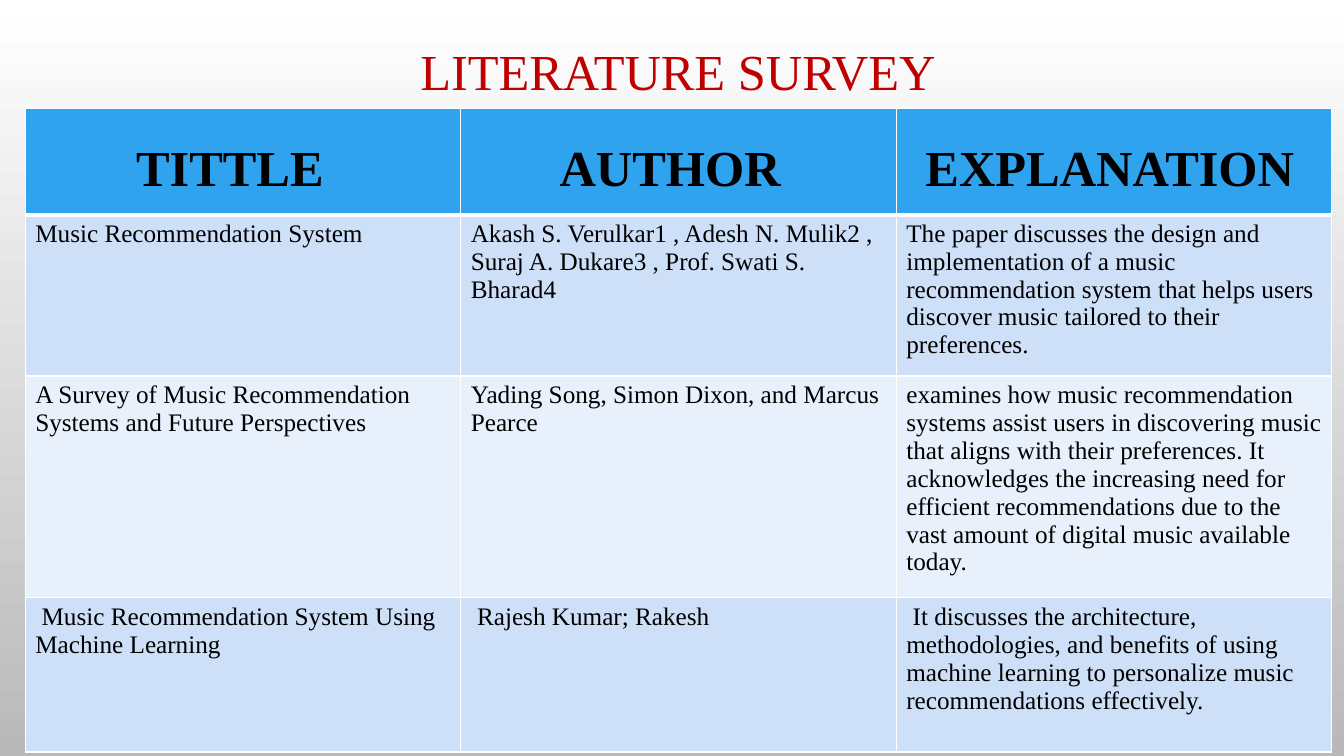
from dataclasses import dataclass

from lxml import etree
from pptx import Presentation
from pptx import util as u
from pptx.dml.color import RGBColor
from pptx.enum import text
from pptx.oxml import ns


@dataclass(frozen=True)
class Theme:
    font: str = "Times New Roman"
    heading_size: int = 36
    body_size: int = 18
    title: str = "C00000"
    ink: str = "000000"
    header: str = "2FA3EE"
    bands: tuple = ("CDE0F8", "E8F0FC")
    border: str = "FFFFFF"
    backdrop: tuple = ("FFFFFF", "B9B9B9")


HEADINGS = ("TITTLE", "AUTHOR", "EXPLANATION")
HEADING_INDENTS = (1.1, 0.98, 0.29)
HEADING_TOP = 0.33
ROW_HEIGHTS = (1.05, 1.53, 2.04, 1.53)
COLUMN_WIDTH = 4.32
PAPERS = (
    (
        "Music Recommendation System",
        "Akash S. Verulkar1 , Adesh N. Mulik2 , Suraj A. Dukare3 , Prof. Swati S. Bharad4",
        "The paper discusses the design and implementation of a music recommendation "
        "system that helps users discover music tailored to their preferences.",
    ),
    (
        "A Survey of Music Recommendation Systems and Future Perspectives",
        "Yading Song, Simon Dixon, and Marcus Pearce",
        "examines how music recommendation systems assist users in discovering music "
        "that aligns with their preferences. It acknowledges the increasing need for "
        "efficient recommendations due to the vast amount of digital music available today.",
    ),
    (
        " Music Recommendation System Using Machine Learning",
        " Rajesh Kumar; Rakesh",
        " It discusses the architecture, methodologies, and benefits of using machine "
        "learning to personalize music recommendations effectively.",
    ),
)


class SlideBuilder:
    def __init__(self, slide, theme):
        self.slide = slide
        self.theme = theme

    def background(self):
        fill = self.slide.background.fill
        fill.gradient()
        fill.gradient_angle = 270
        for stop, color in zip(fill.gradient_stops, self.theme.backdrop):
            stop.color.rgb = RGBColor.from_string(color)

    def add_run(self, paragraph, words, size, color, bold=False):
        run = paragraph.add_run()
        run.text = words
        run.font.name = self.theme.font
        run.font.size = u.Pt(size)
        run.font.bold = bold
        run.font.color.rgb = RGBColor.from_string(color)

    def title(self, words, left, top, width, height):
        box = self.slide.shapes.add_textbox(
            u.Inches(left), u.Inches(top), u.Inches(width), u.Inches(height)
        )
        frame = box.text_frame
        frame.word_wrap = True
        frame.vertical_anchor = text.MSO_ANCHOR.MIDDLE
        paragraph = frame.paragraphs[0]
        paragraph.alignment = text.PP_ALIGN.CENTER
        paragraph.line_spacing = 0.9
        self.add_run(paragraph, words, self.theme.heading_size, self.theme.title)

    def borders(self, cell, top, bottom):
        properties = cell._tc.get_or_add_tcPr()
        sides = (("a:lnL", 1), ("a:lnR", 1), ("a:lnT", top), ("a:lnB", bottom))
        for position, (side, points) in enumerate(sides):
            line = etree.Element(ns.qn(side), w=str(u.Pt(points)))
            fill = etree.SubElement(line, ns.qn("a:solidFill"))
            etree.SubElement(fill, ns.qn("a:srgbClr"), val=self.theme.border)
            properties.insert(position, line)

    def cell(self, cell, words, fill, size, bold=False, top=1, bottom=1):
        cell.fill.solid()
        cell.fill.fore_color.rgb = RGBColor.from_string(fill)
        self.add_run(cell.text_frame.paragraphs[0], words, size, self.theme.ink, bold)
        self.borders(cell, top, bottom)

    def survey_table(self, left, top):
        theme = self.theme
        table = self.slide.shapes.add_table(
            len(ROW_HEIGHTS), len(HEADINGS), u.Inches(left), u.Inches(top),
            u.Inches(COLUMN_WIDTH * len(HEADINGS)), u.Inches(sum(ROW_HEIGHTS)),
        ).table
        for column in table.columns:
            column.width = u.Inches(COLUMN_WIDTH)
        for row, height in zip(table.rows, ROW_HEIGHTS):
            row.height = u.Inches(height)
        for index, (heading, indent) in enumerate(zip(HEADINGS, HEADING_INDENTS)):
            cell = table.cell(0, index)
            cell.margin_left = u.Inches(indent)
            cell.margin_top = u.Inches(HEADING_TOP)
            self.cell(cell, heading, theme.header, theme.heading_size, True, bottom=3)
        for row, paper in enumerate(PAPERS, 1):
            fill = theme.bands[(row - 1) % 2]
            for index, words in enumerate(paper):
                self.cell(table.cell(row, index), words, fill, theme.body_size,
                          top=3 if row == 1 else 1)


def main():
    presentation = Presentation()
    presentation.slide_width = u.Inches(13.33)
    presentation.slide_height = u.Inches(7.5)
    slide = presentation.slides.add_slide(presentation.slide_layouts[6])
    builder = SlideBuilder(slide, Theme())
    builder.background()
    builder.title("LITERATURE SURVEY", 0.12, 0, 13.21, 1.47)
    builder.survey_table(0.25, 1.08)
    presentation.save("out.pptx")


if __name__ == "__main__":
    main()
